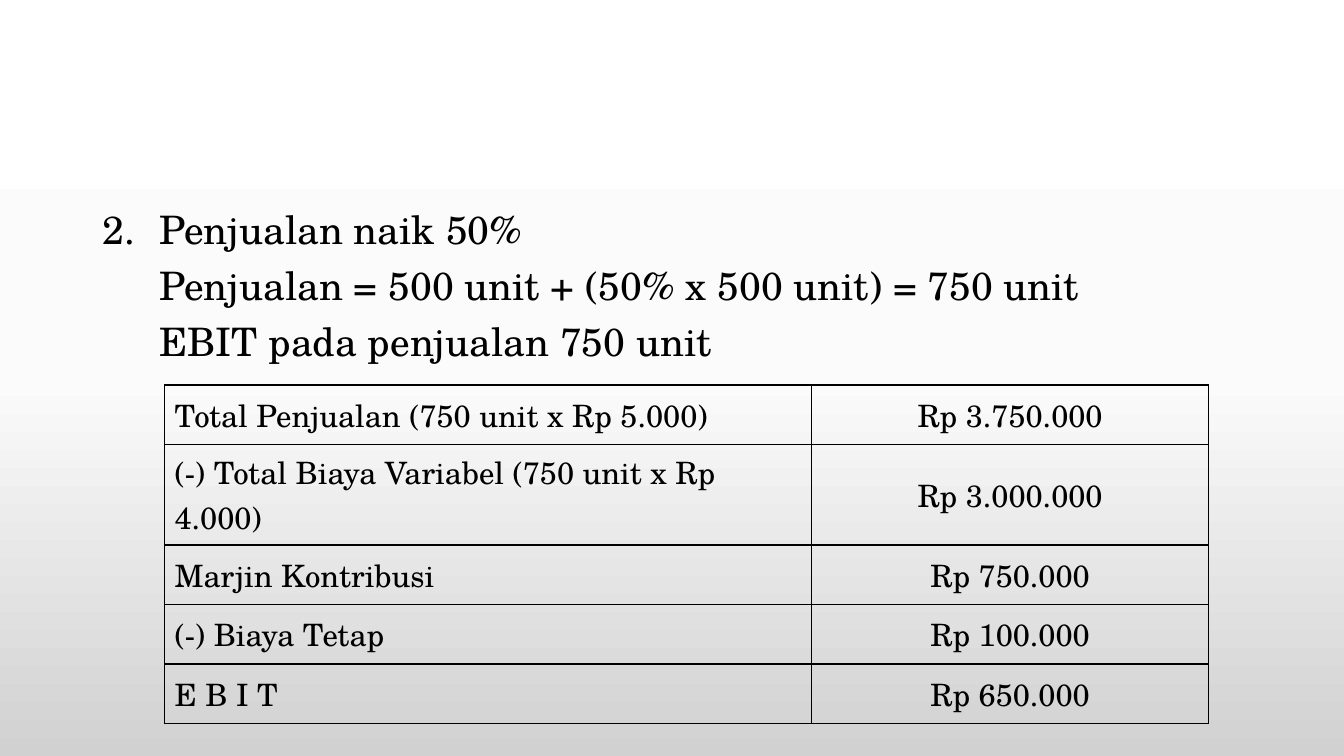
from typing import NamedTuple

from lxml import etree
from pptx import Presentation
from pptx.dml.color import RGBColor
from pptx.enum.text import MSO_ANCHOR, MSO_AUTO_SIZE, PP_ALIGN
from pptx.oxml import parse_xml
from pptx.oxml.ns import nsdecls, qn
from pptx.util import Pt

LEFT, CENTER = PP_ALIGN.LEFT, PP_ALIGN.CENTER
MIDDLE, TOP = MSO_ANCHOR.MIDDLE, MSO_ANCHOR.TOP
NO_AUTOFIT = MSO_AUTO_SIZE.NONE

FONT = "TeX Gyre Schola"
BLACK = "000000"
BODY_SIZE, TABLE_SIZE = 28, 22
HANGING_INDENT = 40.5
BORDER_WIDTH = 1
COLUMN_WIDTHS = (462, 284)
ROW_HEIGHT, WRAPPED_ROW_HEIGHT = 42.5, 71.5


class GradientStop(NamedTuple):
    percent: int
    color: str


class Statement(NamedTuple):
    text: str
    number: int | None = None


class ProfitLine(NamedTuple):
    label: str
    amount: str
    height: float = ROW_HEIGHT


BACKDROP = (
    GradientStop(0, "FFFFFF"),
    GradientStop(50, "FBFBFB"),
    GradientStop(100, "D1D1D1"),
)
STATEMENTS = (
    Statement("Penjualan naik 50%", 2),
    Statement("Penjualan = 500 unit + (50% x 500 unit) = 750 unit"),
    Statement("EBIT pada penjualan 750 unit"),
)
PROFIT_LINES = (
    ProfitLine("Total Penjualan (750 unit x Rp 5.000)", "Rp 3.750.000"),
    ProfitLine("(-) Total Biaya Variabel (750 unit x Rp 4.000)",
               "Rp 3.000.000", WRAPPED_ROW_HEIGHT),
    ProfitLine("Marjin Kontribusi", "Rp 750.000"),
    ProfitLine("(-) Biaya Tetap", "Rp 100.000"),
    ProfitLine("E B I T", "Rp 650.000"),
)


def rgb(color: str) -> RGBColor:
    return RGBColor.from_string(color)


def add_run(paragraph, text: str, size: float) -> None:
    run = paragraph.add_run()
    run.text = text
    run.font.name = FONT
    run.font.size = Pt(size)
    run.font.color.rgb = rgb(BLACK)


def paint_backdrop(slide) -> None:
    stops = "".join(
        f'<a:gs pos="{stop.percent * 1000}"><a:srgbClr val="{stop.color}"/></a:gs>'
        for stop in BACKDROP
    )
    backdrop = parse_xml(
        f'<p:bg {nsdecls("p", "a")}><p:bgPr><a:gradFill rotWithShape="1">'
        f'<a:gsLst>{stops}</a:gsLst><a:lin ang="5400000" scaled="0"/>'
        '</a:gradFill><a:effectLst/></p:bgPr></p:bg>'
    )
    slide.element.find(qn("p:cSld")).insert(0, backdrop)


def set_numbering(paragraph, number: int | None) -> None:
    properties = paragraph._p.get_or_add_pPr()
    properties.set("marL", str(Pt(HANGING_INDENT)))
    properties.set("indent", str(-Pt(HANGING_INDENT) if number else 0))
    if number:
        bullet = etree.SubElement(properties, qn("a:buAutoNum"))
        bullet.set("type", "arabicPeriod")
        bullet.set("startAt", str(number))
    else:
        etree.SubElement(properties, qn("a:buNone"))


def fill_statements(body) -> None:
    body.left, body.top = Pt(66), Pt(147)
    body.width, body.height = Pt(828), Pt(340)
    frame = body.text_frame
    frame.word_wrap = True
    frame.auto_size = NO_AUTOFIT
    frame.vertical_anchor = TOP
    for index, statement in enumerate(STATEMENTS):
        paragraph = frame.add_paragraph() if index else frame.paragraphs[0]
        set_numbering(paragraph, statement.number)
        paragraph.alignment = LEFT
        paragraph.line_spacing = Pt(30)
        paragraph.space_before = Pt(10 if index else 0)
        add_run(paragraph, statement.text, BODY_SIZE)


def add_borders(cell) -> None:
    properties = cell._tc.get_or_add_tcPr()
    for position, side in enumerate(("lnL", "lnR", "lnT", "lnB")):
        border = parse_xml(
            f'<a:{side} {nsdecls("a")} w="{Pt(BORDER_WIDTH)}"><a:solidFill>'
            f'<a:srgbClr val="{BLACK}"/></a:solidFill></a:{side}>'
        )
        properties.insert(position, border)


def fill_cell(cell, text: str, alignment: PP_ALIGN) -> None:
    cell.fill.background()
    cell.vertical_anchor = MIDDLE
    add_borders(cell)
    paragraph = cell.text_frame.paragraphs[0]
    paragraph.alignment = alignment
    add_run(paragraph, text, TABLE_SIZE)


def add_profit_table(slide) -> None:
    height = sum(line.height for line in PROFIT_LINES)
    table = slide.shapes.add_table(
        len(PROFIT_LINES), len(COLUMN_WIDTHS),
        Pt(117.5), Pt(275), Pt(sum(COLUMN_WIDTHS)), Pt(height),
    ).table
    table.first_row = False
    table.horz_banding = False
    for column, width in zip(table.columns, COLUMN_WIDTHS):
        column.width = Pt(width)
    for row, line in zip(table.rows, PROFIT_LINES):
        row.height = Pt(line.height)
        fill_cell(row.cells[0], line.label, LEFT)
        fill_cell(row.cells[1], line.amount, CENTER)


def main() -> None:
    presentation = Presentation()
    presentation.slide_width, presentation.slide_height = Pt(960), Pt(540)
    slide = presentation.slides.add_slide(presentation.slide_layouts[1])
    empty_title = slide.shapes.title.element
    empty_title.getparent().remove(empty_title)
    paint_backdrop(slide)
    fill_statements(slide.placeholders[1])
    add_profit_table(slide)
    presentation.save("out.pptx")


if __name__ == "__main__":
    main()
